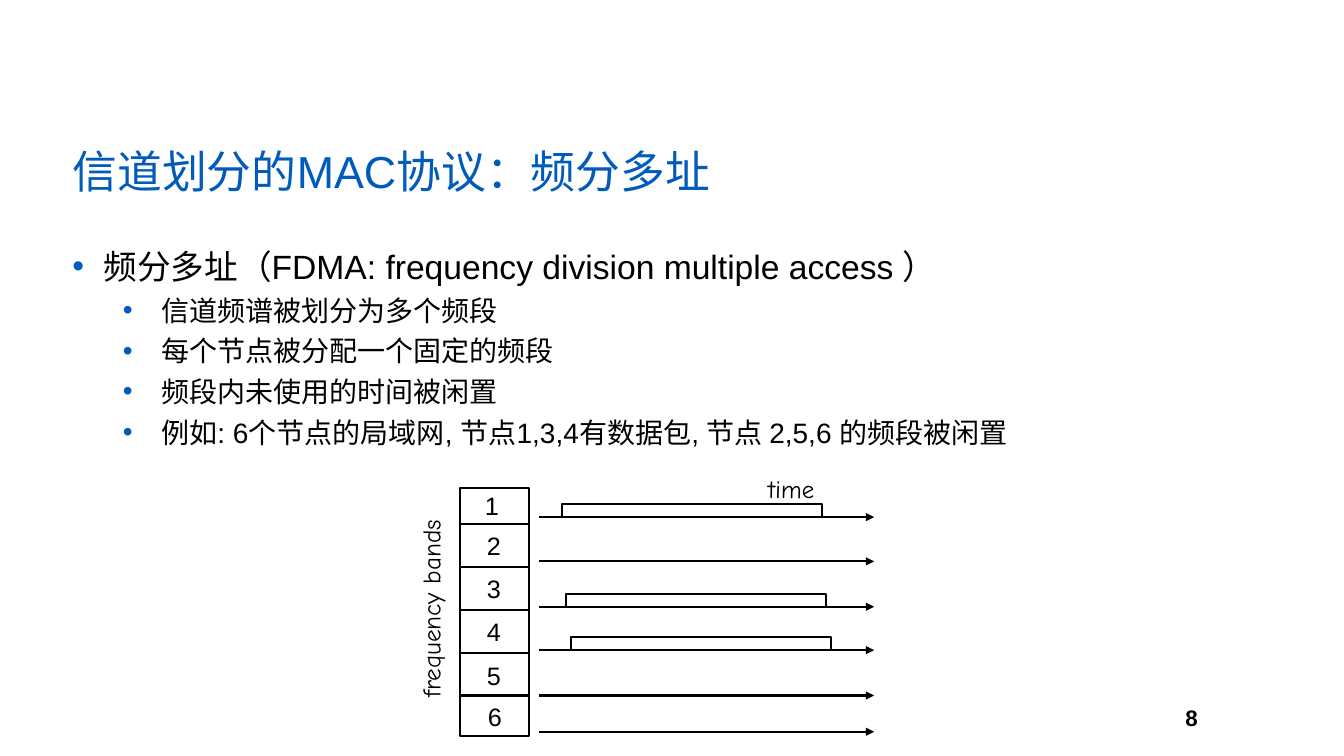
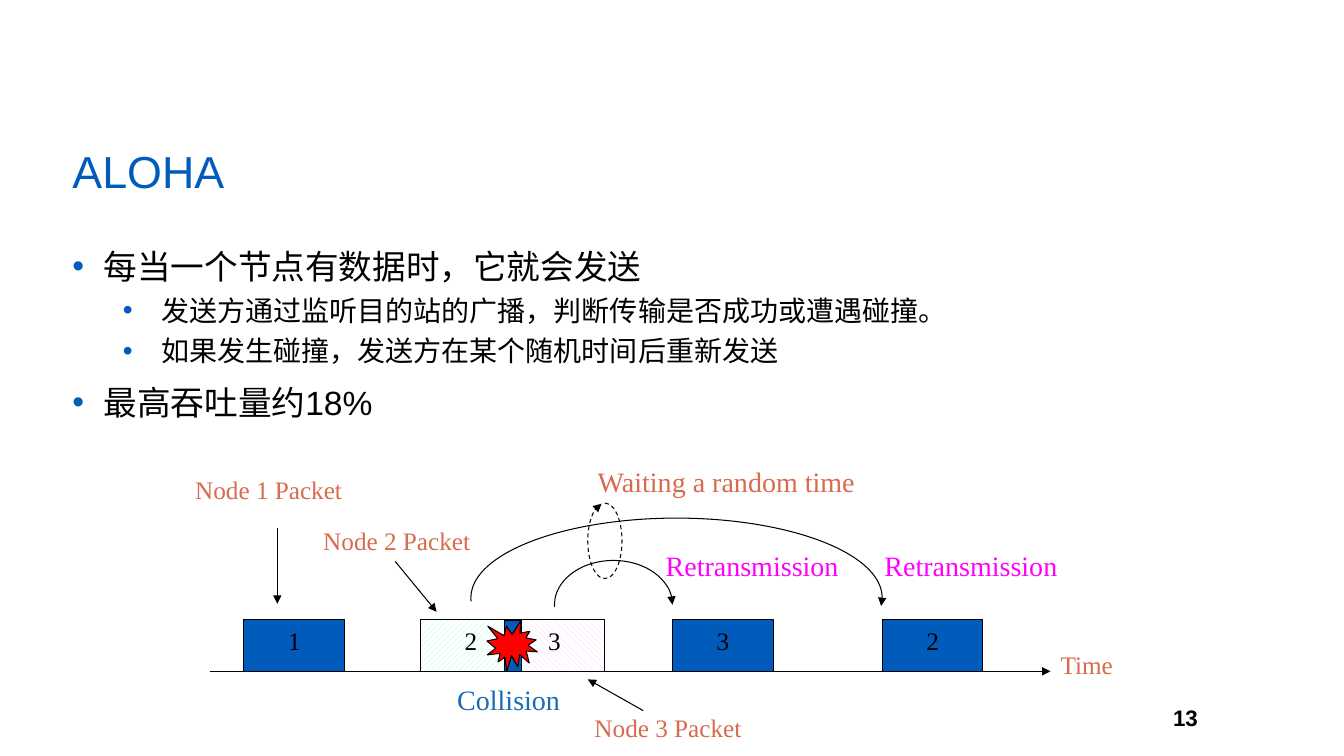
from dataclasses import dataclass
from typing import Optional

from lxml import etree
from pptx import Presentation
from pptx.dml.color import RGBColor
from pptx.enum import dml, shapes, text
from pptx.oxml import ns
from pptx.shapes.base import BaseShape
from pptx.slide import Slide
from pptx.text.text import TextFrame
from pptx.util import Inches, Pt

BLUE = "005BBB"
BLACK = "000000"
WHITE = "FFFFFF"
CORAL = "D86A4E"
MAGENTA = "FF00FF"
SANS = "Arial"
SERIF = "Times New Roman"
HAND = "Comic Neue"
LEFT, CENTER, RIGHT = text.PP_ALIGN.LEFT, text.PP_ALIGN.CENTER, text.PP_ALIGN.RIGHT
RECTANGLE = shapes.MSO_SHAPE.RECTANGLE


@dataclass
class Box:
    left: float
    top: float
    width: float
    height: float

    def lengths(self) -> list[int]:
        return [Inches(v) for v in (self.left, self.top, self.width, self.height)]


@dataclass
class Style:
    size: float
    font: str = SANS
    color: str = BLACK
    bold: bool = False
    align: text.PP_ALIGN = LEFT


@dataclass
class BulletLevel:
    margin: float
    hanging: float
    space_before: float
    size: float


@dataclass
class Band:
    """One frequency band: number position, time axis and optional packet."""
    number_left: float
    number_top: float
    axis_y: float
    packet_left: Optional[float] = None


@dataclass
class Packet:
    label: str
    left: float
    fill: str = BLUE
    pattern: Optional[dml.MSO_PATTERN] = None


@dataclass
class Arc:
    """Part of an ellipse, clockwise in degrees from the right-hand side."""
    ellipse: Box
    start: float
    end: float
    dashed: bool = False


@dataclass
class Label:
    words: str
    box: Box
    style: Style
    rotation: float = 0


LEVELS = [BulletLevel(0.31, 0.31, 10, 24), BulletLevel(0.88, 0.38, 5, 20)]


def rgb(color: str) -> RGBColor:
    return RGBColor.from_string(color)


def write(frame: TextFrame, words: str, style: Style) -> None:
    frame.word_wrap = True
    paragraph = frame.paragraphs[0]
    paragraph.text = words
    paragraph.alignment = style.align
    set_font(paragraph, style)


def set_font(paragraph, style: Style) -> None:
    font = paragraph.font
    font.size = Pt(style.size)
    font.name = style.font
    font.bold = style.bold
    font.color.rgb = rgb(style.color)


def add_label(slide: Slide, label: Label) -> TextFrame:
    box = slide.shapes.add_textbox(*label.box.lengths())
    box.rotation = label.rotation
    write(box.text_frame, label.words, label.style)
    return box.text_frame


def add_bullet(paragraph, level: int) -> None:
    rule = LEVELS[level]
    paragraph.level = level
    properties = paragraph._p.get_or_add_pPr()
    properties.set("marL", str(Inches(rule.margin)))
    properties.set("indent", str(-Inches(rule.hanging)))
    color = etree.SubElement(properties, ns.qn("a:buClr"))
    etree.SubElement(color, ns.qn("a:srgbClr"), val=BLUE)
    etree.SubElement(properties, ns.qn("a:buFont"), typeface=SANS)
    etree.SubElement(properties, ns.qn("a:buChar"), char="•")


def add_content_slide(deck, title: str, bullets: list[tuple[int, str]], number: int) -> Slide:
    slide = deck.slides.add_slide(deck.slide_layouts[6])
    number_frame = add_label(slide, Label(str(number), Box(11.22, 6.83, 0.79, 0.58),
                                          Style(16, bold=True, align=RIGHT)))
    number_frame.vertical_anchor = text.MSO_ANCHOR.MIDDLE
    number_frame.margin_left = number_frame.margin_right = Inches(0.13)

    body = slide.shapes.add_textbox(*Box(0.62, 2.39, 11.5, 4.21).lengths()).text_frame
    body.word_wrap = True
    for index, (level, words) in enumerate(bullets):
        paragraph = body.add_paragraph() if index else body.paragraphs[0]
        paragraph.text = words
        add_bullet(paragraph, level)
        if index:
            paragraph.space_before = Pt(LEVELS[level].space_before)
        set_font(paragraph, Style(LEVELS[level].size))

    heading = add_label(slide, Label(title, Box(0.62, 1.44, 11.5, 0.95), Style(32, color=BLUE)))
    heading.paragraphs[0].line_spacing = 0.9
    return slide


def outline(shape: BaseShape, width: float, arrow: bool = False, dashed: bool = False) -> None:
    shape.line.color.rgb = rgb(BLACK)
    shape.line.width = Pt(width)
    if dashed:
        shape.line.dash_style = dml.MSO_LINE.DASH
    if arrow:
        line = shape.element.spPr.find(ns.qn("a:ln"))
        etree.SubElement(line, ns.qn("a:tailEnd"), type="triangle")


def add_line(slide: Slide, start: tuple[float, float], end: tuple[float, float],
             width: float, arrow: bool = False) -> None:
    line = slide.shapes.add_connector(shapes.MSO_CONNECTOR.STRAIGHT,
                                      *[Inches(v) for v in (*start, *end)])
    outline(line, width, arrow)
    etree.SubElement(line.element.spPr, ns.qn("a:effectLst"))


def add_filled(slide: Slide, kind: shapes.MSO_SHAPE, box: Box, fill: str, width: float,
               pattern: Optional[dml.MSO_PATTERN] = None) -> BaseShape:
    shape = slide.shapes.add_shape(kind, *box.lengths())
    shape.shadow.inherit = False
    if pattern is None:
        shape.fill.solid()
        shape.fill.fore_color.rgb = rgb(fill)
    else:
        shape.fill.patterned()
        shape.fill.pattern = pattern
        shape.fill.fore_color.rgb = rgb(fill)
        shape.fill.back_color.rgb = rgb(WHITE)
    outline(shape, width)
    return shape


def add_arc(slide: Slide, arc: Arc) -> None:
    shape = slide.shapes.add_shape(shapes.MSO_SHAPE.ARC, *arc.ellipse.lengths())
    shape.shadow.inherit = False
    shape.fill.background()
    # Angles are stored in 1/60000 degree, adjustments in 1/100000.
    shape.adjustments[0] = arc.start * 0.6
    shape.adjustments[1] = arc.end * 0.6
    outline(shape, 0.75, arrow=True, dashed=arc.dashed)


def add_pulse(slide: Slide, left: float, axis_y: float) -> None:
    """Draw a packet as a raised open outline on its time axis."""
    right, top = left + 2.58, axis_y - 0.13
    corners = [(left, top), (right, top), (right, axis_y)]
    builder = slide.shapes.build_freeform(Inches(left), Inches(axis_y))
    builder.add_line_segments([(Inches(x), Inches(y)) for x, y in corners], close=False)
    pulse = builder.convert_to_shape()
    pulse.shadow.inherit = False
    pulse.fill.background()
    outline(pulse, 1.5)


def draw_frequency_bands(slide: Slide) -> None:
    bands = [
        Band(4.71, 4.82, 5.13, 5.57),
        Band(4.73, 5.21, 5.57),
        Band(4.73, 5.64, 6.02, 5.61),
        Band(4.73, 6.07, 6.45, 5.66),
        Band(4.73, 6.5, 6.9),
        Band(4.74, 6.91, 7.26),
    ]
    add_filled(slide, RECTANGLE, Box(4.56, 4.84, 0.69, 2.46), WHITE, 1.5)
    for index in range(len(bands) - 1):
        divider_y = 5.2 + index * 0.425
        add_line(slide, (4.56, divider_y), (5.25, divider_y), 1.5)
    for number, band in enumerate(bands, start=1):
        add_line(slide, (5.35, band.axis_y), (8.67, band.axis_y), 1.5, arrow=True)
        if band.packet_left is not None:
            add_pulse(slide, band.packet_left, band.axis_y)
        add_label(slide, Label(str(number), Box(band.number_left, band.number_top, 0.39, 0.4),
                               Style(18)))
    hand = Style(18, HAND)
    add_label(slide, Label("frequency bands", Box(3.21, 5.76, 2.12, 0.4), hand, 270))
    add_label(slide, Label("time", Box(7.52, 4.65, 0.72, 0.4), hand, 1.1))


def draw_aloha_timeline(slide: Slide) -> None:
    thin = 0.75
    packets = [
        Packet("1", 2.42),
        Packet("2", 4.17, "99FFCC", dml.MSO_PATTERN.WIDE_UPWARD_DIAGONAL),
        Packet("3", 5, "FFCCFF", dml.MSO_PATTERN.WIDE_DOWNWARD_DIAGONAL),
        Packet("3", 6.67),
        Packet("2", 8.75),
    ]
    arcs = [
        Arc(Box(5.5, 5.56, 1.17, 0.88), 178, 0),
        Arc(Box(4.67, 5.14, 4.08, 1.58), 179, 2.3),
        Arc(Box(5.83, 4.99, 0.34, 0.75), 270, 265, dashed=True),
    ]
    note = Style(18, SERIF, CORAL)
    centered_note = Style(18, SERIF, CORAL, align=CENTER)
    resend = Style(20, SERIF, MAGENTA, align=CENTER)
    labels = [
        Label("Time", Box(10.42, 6.39, 1.08, 0.5), note),
        Label("Collision", Box(4.17, 6.72, 1.75, 0.43), Style(20, SERIF, "186BB7", align=CENTER)),
        Label("Retransmission", Box(6.5, 5.39, 1.92, 0.43), resend),
        Label("Retransmission", Box(8.67, 5.39, 1.92, 0.43), resend),
        Label("Waiting a random time", Box(5.83, 4.56, 3.25, 0.43), Style(20, SERIF, CORAL)),
        Label("Node 1 Packet", Box(1.83, 4.66, 1.67, 0.4), centered_note),
        Label("Node 2 Packet", Box(3.1, 5.16, 1.67, 0.4), centered_note),
        Label("Node 3 Packet", Box(5.79, 7.02, 1.67, 0.4), centered_note),
    ]
    arrows = [
        ((2.08, 6.66), (10.42, 6.66)),
        ((2.75, 5.24), (2.75, 5.99)),
        ((3.92, 5.57), (4.33, 6.07)),
        ((6.38, 7.05), (5.83, 6.74)),
    ]
    for start, end in arrows:
        add_line(slide, start, end, thin, arrow=True)
    for packet in packets:
        block = add_filled(slide, RECTANGLE, Box(packet.left, 6.15, 1, 0.51),
                           packet.fill, thin, packet.pattern)
        block.text_frame.vertical_anchor = text.MSO_ANCHOR.TOP
        write(block.text_frame, packet.label, Style(18, SERIF, align=CENTER))
    for label in labels:
        add_label(slide, label)
    add_filled(slide, RECTANGLE, Box(5, 6.16, 0.17, 0.5), BLUE, thin)
    add_filled(slide, shapes.MSO_SHAPE.EXPLOSION1, Box(4.83, 6.16, 0.5, 0.5), "FF0000", thin)
    for arc in arcs:
        add_arc(slide, arc)


def main() -> None:
    deck = Presentation()
    deck.slide_width, deck.slide_height = Inches(13.33), Inches(7.5)
    draw_frequency_bands(add_content_slide(deck, "信道划分的MAC协议：频分多址", [
        (0, "频分多址（FDMA: frequency division multiple access ）"),
        (1, "信道频谱被划分为多个频段"),
        (1, "每个节点被分配一个固定的频段"),
        (1, "频段内未使用的时间被闲置"),
        (1, "例如: 6个节点的局域网, 节点1,3,4有数据包, 节点 2,5,6 的频段被闲置"),
    ], 8))
    draw_aloha_timeline(add_content_slide(deck, "ALOHA", [
        (0, "每当一个节点有数据时，它就会发送"),
        (1, "发送方通过监听目的站的广播，判断传输是否成功或遭遇碰撞。"),
        (1, "如果发生碰撞，发送方在某个随机时间后重新发送"),
        (0, "最高吞吐量约18%"),
    ], 13))
    deck.save("out.pptx")


if __name__ == "__main__":
    main()
